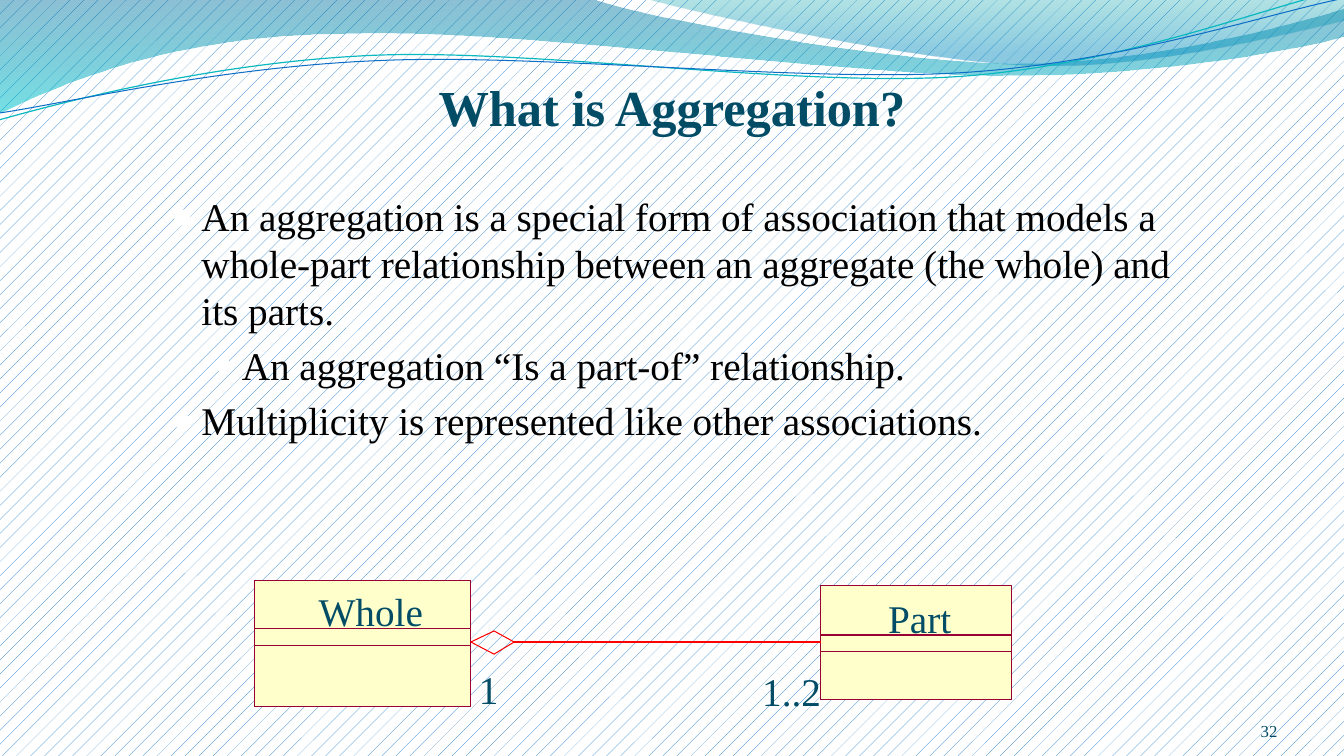
from math import cos, radians, sin
from lxml.etree import SubElement
from pptx import Presentation
from pptx.dml.color import RGBColor
from pptx.enum.dml import MSO_PATTERN
from pptx.enum.shapes import MSO_CONNECTOR, MSO_SHAPE
from pptx.enum.text import MSO_ANCHOR, MSO_AUTO_SIZE, PP_ALIGN
from pptx.oxml.ns import qn
from pptx.util import Inches, Pt

FONT = "Times New Roman"
WHITE = RGBColor(0xFF, 0xFF, 0xFF)
BLACK = RGBColor(0, 0, 0)
NAVY = RGBColor(0x02, 0x4C, 0x66)
BLUE = RGBColor(0x0F, 0x6F, 0xC6)
TEAL = RGBColor(0x0A, 0xB8, 0xBF)
CREAM = RGBColor(0xFF, 0xFF, 0xCC)
MAROON = RGBColor(0x99, 0x00, 0x33)
RED = RGBColor(0xFF, 0x00, 0x00)

BROAD_BAND = [
    (0, -0.01), (5.87, -0.01),
    (6.34, 0.17, 8.85, 0.63, 10.11, 0.63), (11.38, 0.63, 12.78, 0.26, 13.33, 0.09),
    (13.35, 0.36),
    (13.11, 0.44, 11.6, 0.76, 9.94, 0.75), (8.29, 0.75, 5.09, 0.28, 3.43, 0.34),
    (1.72, 0.35, 0.61, 0.83, -0.01, 1.13),
]
RIGHT_BAND = [
    (6.39, -0.01),
    (6.79, 0.11, 9.09, 0.62, 10.25, 0.65), (11.41, 0.69, 12.82, 0.32, 13.33, 0.21),
    (13.33, 0),
]
TEAL_CURVE = [
    (-0.01, 1.19), (0.64, 1.01, 2.11, 0.62, 3.69, 0.55),
    (5.27, 0.48, 7.9, 0.87, 9.5, 0.76), (11.1, 0.65, 12.52, 0.08, 13.31, -0.1),
]
BLUE_CURVE = [
    (0, 1.12), (0.63, 1.03, 2.18, 0.66, 3.78, 0.6),
    (5.37, 0.53, 7.96, 0.82, 9.55, 0.72), (11.15, 0.62, 12.55, 0.14, 13.34, -0.02),
]
CURVE_TILT = -2.7
CURVE_CENTER = (6.66, 0.58)
DIAMOND = [(4.67, 6.37), (4.9, 6.49), (5.1, 6.37), (4.9, 6.26)]
BAND_FILLS = [
    (BROAD_BAND, [(0, RGBColor(0x00, 0x74, 0xA1), 45), (1, RGBColor(0x00, 0xC6, 0xCF), 55)]),
    (RIGHT_BAND, [(0, RGBColor(0x00, 0xA1, 0xA9), 30), (0.8, RGBColor(0x00, 0x8B, 0xBF), 45)]),
]
BODY = [
    (0, "An aggregation is a special form of association that models a whole-part "
        "relationship between an aggregate (the whole) and its parts."),
    (1, "An aggregation “Is a part-of” relationship."),
    (0, "Multiplicity is represented like other associations."),
]
BULLETS = [(0.3, 0.3, 95), (0.7, 0.27, 85)]


def apply(target, values):
    for name, value in values.items():
        setattr(target, name, value)


def pairs(segment):
    return list(zip(segment[::2], segment[1::2]))


def rotate(segment, degrees):
    cx, cy = CURVE_CENTER
    c, d = cos(radians(degrees)), sin(radians(degrees))
    turned = [(cx + (x - cx) * c - (y - cy) * d, cy + (x - cx) * d + (y - cy) * c)
              for x, y in pairs(segment)]
    return tuple(value for point in turned for value in point)


def set_line(line, color, width):
    line.color.rgb = color
    line.width = Pt(width)


def add_outline(s, outline, close):
    anchors = [(Inches(seg[-2]), Inches(seg[-1])) for seg in outline]
    builder = s.shapes.build_freeform(*anchors[0])
    builder.add_line_segments(anchors[1:], close=close)
    sp = builder.convert_to_shape()
    lines = list(sp._element.iter(qn("a:lnTo")))
    for element, segment in zip(lines, outline[1:]):
        if len(segment) == 6:
            element.tag = qn("a:cubicBezTo")
            element.remove(element[0])
            for x, y in pairs(segment):
                SubElement(element, qn("a:pt"), x=str(Inches(x) - sp.left),
                           y=str(Inches(y) - sp.top))
    sp.shadow.inherit = False
    sp.fill.background()
    return sp


def add_band(s, outline, stops):
    sp = add_outline(s, outline, True)
    sp.line.fill.background()
    sp.fill.gradient()
    sp.fill.gradient_angle = 270
    for stop, (position, color, _) in zip(sp.fill.gradient_stops, stops):
        stop.position = position
        stop.color.rgb = color
    for clr, (_, _, alpha) in zip(sp._element.iter(qn("a:srgbClr")), stops):
        SubElement(clr, qn("a:alpha"), val=str(alpha * 1000))


def add_curve(s, outline, color, width):
    sp = add_outline(s, [rotate(segment, -CURVE_TILT) for segment in outline], False)
    sp.rotation = CURVE_TILT
    set_line(sp.line, color, width)


def add_rect(s, box, fill=None):
    sp = s.shapes.add_shape(MSO_SHAPE.RECTANGLE, *map(Inches, box))
    sp.shadow.inherit = False
    set_line(sp.line, MAROON, 0)
    if fill:
        sp.fill.solid()
        sp.fill.fore_color.rgb = fill
    else:
        sp.fill.background()


def add_link(s, x1, y1, x2, y2):
    link = s.shapes.add_connector(MSO_CONNECTOR.STRAIGHT, *map(Inches, (x1, y1, x2, y2)))
    set_line(link.line, RED, 0)
    SubElement(link._element.spPr, qn("a:effectLst"))


def add_frame(s, box, **frame):
    tf = s.shapes.add_textbox(*map(Inches, box)).text_frame
    apply(tf, {"word_wrap": True, **frame})
    return tf


def write(p, text, size, color=NAVY, bold=False):
    r = p.add_run()
    r.text = text
    apply(r.font, {"name": FONT, "size": Pt(size), "bold": bold})
    r.font.color.rgb = color


def add_text(s, box, text, size, align=PP_ALIGN.LEFT, bold=False, **frame):
    margins = {f"margin_{side}": 0 for side in ("left", "top", "right", "bottom")}
    tf = add_frame(s, box, **{**margins, **frame})
    p = tf.paragraphs[0]
    p.alignment = align
    write(p, text, size, bold=bold)


def add_label(s, box, text):
    add_text(s, box, text, 28, word_wrap=False, auto_size=MSO_AUTO_SIZE.SHAPE_TO_FIT_TEXT)


def add_bullet(p, level):
    left, hang, size = BULLETS[level]
    p.level = level
    pPr = p._p.get_or_add_pPr()
    pPr.set("marL", str(Inches(left)))
    pPr.set("indent", str(-Inches(hang)))
    SubElement(SubElement(pPr, qn("a:buClr")), qn("a:srgbClr"), val=str(WHITE))
    SubElement(pPr, qn("a:buSzPct"), val=str(size * 1000))
    SubElement(pPr, qn("a:buFont"), typeface=FONT)
    SubElement(pPr, qn("a:buChar"), char="●")


def add_body(s, box):
    tf = add_frame(s, box)
    for i, (level, text) in enumerate(BODY):
        p = tf.add_paragraph() if i else tf.paragraphs[0]
        add_bullet(p, level)
        if i:
            p.space_before = Pt(5.6)
        write(p, text, 28, BLACK)


def add_class(s, left, top, width, bottom, dividers, name, name_box):
    add_rect(s, (left, top, width, bottom - top), CREAM)
    add_label(s, name_box, name)
    for y in dividers:
        add_rect(s, (left, y, width, bottom - y))


def main():
    prs = Presentation()
    prs.slide_width, prs.slide_height = Inches(13.33), Inches(7.5)
    s = prs.slides.add_slide(prs.slide_layouts[6])
    fill = s.background.fill
    fill.patterned()
    fill.pattern = MSO_PATTERN.PERCENT_5
    fill.fore_color.rgb = BLUE
    fill.back_color.rgb = WHITE

    for outline, stops in BAND_FILLS:
        add_band(s, outline, stops)
    add_curve(s, TEAL_CURVE, TEAL, 0.85)
    add_curve(s, BLUE_CURVE, BLUE, 0.75)

    add_text(s, (11.56, 6.95, 1.11, 0.4), "32", 12, PP_ALIGN.RIGHT,
             vertical_anchor=MSO_ANCHOR.BOTTOM)
    add_text(s, (1.13, 0.78, 11.07, 0.58), "What is Aggregation?", 36, PP_ALIGN.CENTER, True,
             vertical_anchor=MSO_ANCHOR.BOTTOM, margin_top=Inches(0.05))
    add_body(s, (1.6, 1.86, 10.51, 3.08))

    add_class(s, 8.14, 5.81, 1.89, 6.94, (6.3, 6.46), "Part", (8.81, 5.9, 0.63, 0.47))
    add_class(s, 2.52, 5.76, 2.15, 7.01, (6.24, 6.4), "Whole", (3.16, 5.83, 1.04, 0.47))
    for end in (8.14, 5.1):
        add_link(s, 6.41, 6.37, end, 6.37)
    set_line(add_outline(s, DIAMOND, True).line, RED, 0)
    add_label(s, (7.56, 6.62, 0.59, 0.47), "1..2")
    add_label(s, (4.75, 6.6, 0.2, 0.47), "1")
    prs.save("out.pptx")


if __name__ == "__main__":
    main()
